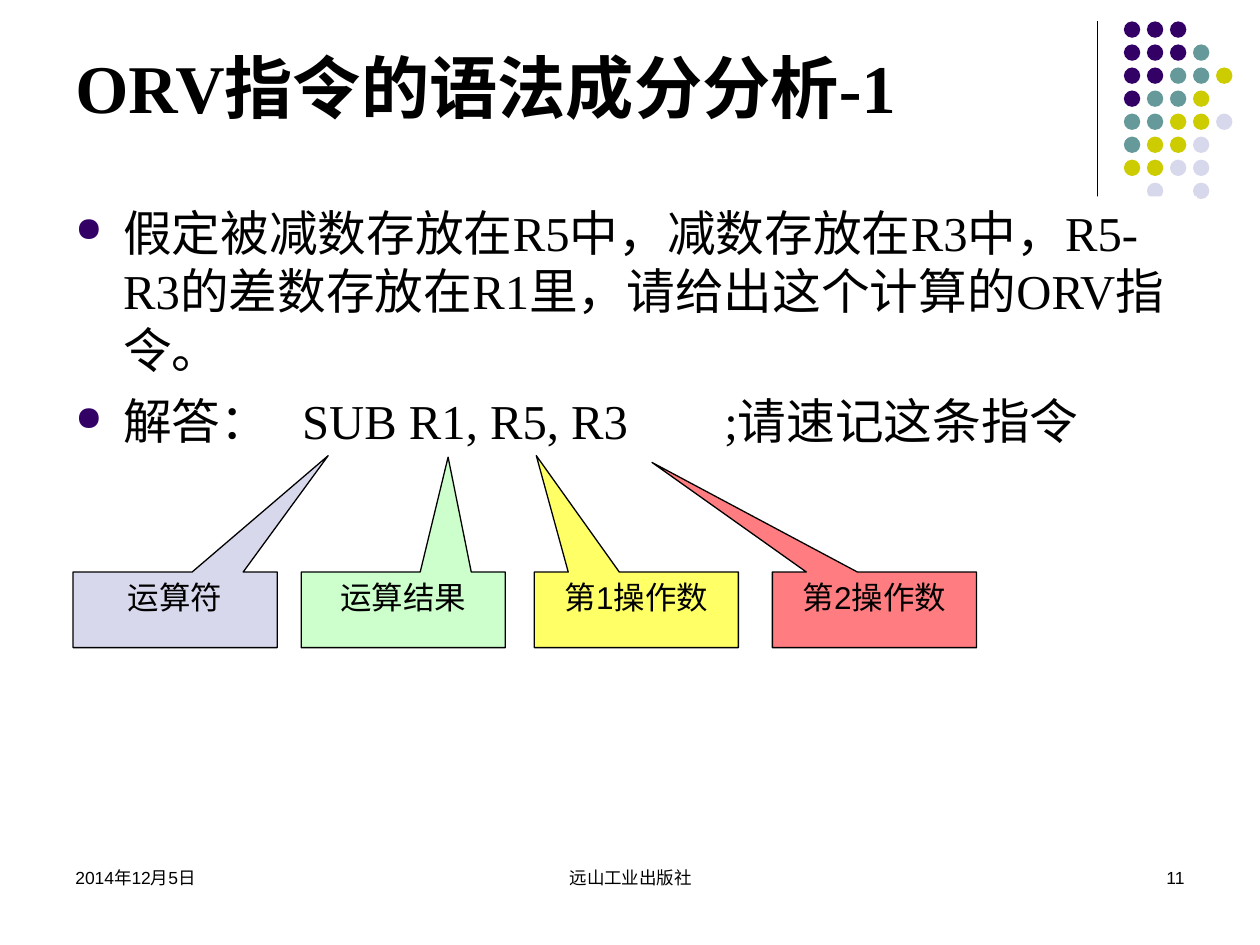
from lxml import etree
from pptx import Presentation
from pptx.dml.color import RGBColor
from pptx.enum.shapes import MSO_CONNECTOR, MSO_SHAPE
from pptx.enum.text import MSO_ANCHOR, PP_ALIGN
from pptx.oxml.ns import qn
from pptx.util import Inches, Pt

LEFT, CENTER, RIGHT = PP_ALIGN.LEFT, PP_ALIGN.CENTER, PP_ALIGN.RIGHT
TOP, BOTTOM = MSO_ANCHOR.TOP, MSO_ANCHOR.BOTTOM
RECTANGLE, ELLIPSE = MSO_SHAPE.RECTANGLE, MSO_SHAPE.OVAL
CALLOUT = MSO_SHAPE.RECTANGULAR_CALLOUT

COLORS = {
    "black": "000000", "white": "FFFFFF", "purple": "330066", "teal": "669999",
    "olive": "CCCC00", "lavender": "D8D8EC", "green": "CCFFCC",
    "yellow": "FFFF66", "red": "FF7C80",
}
FORMATS = {
    "title": {"name": "Times New Roman", "size": Pt(39), "bold": True},
    "body": {"name": "Times New Roman", "size": Pt(27.8)},
    "callout": {"name": "Arial", "size": Pt(18)},
    "footer": {"name": "Arial", "size": Pt(10)},
}

# Dot pattern: one letter per dot, a point for a gap
DOT_COLORS = {"p": "purple", "t": "teal", "o": "olive", "l": "lavender"}
DOT_ROWS = ["ppp", "pppt", "pptto", "ptto", "ttool", "tool", "ooll", ".l.l"]
DOT_PITCH = 1.28 / 7
DOT_SIZE = 0.13

BODY = [
    "假定被减数存放在R5中，减数存放在R3中，R5-R3的差数存放在R1里，请给出这个计算的ORV指令。",
    "解答：\tSUB R1, R5, R3\t;请速记这条指令",
]
BODY_INDENT = 0.38
BODY_TABS = [1.8, 5.15]

# Text, left, fill, pointer position relative to the box centre
CALLOUTS = [
    ("第1操作数", 4.24, "yellow", (-0.49, -2.04)),
    ("第2操作数", 6.13, "red", (-1.09, -1.95)),
    ("运算结果", 2.39, "green", (0.22, -2.02)),
    ("运算符", 0.58, "lavender", (0.75, -2.04)),
]
FOOTERS = [
    ("2014年12月5日", 0.5, 2.33, LEFT),
    ("远山工业出版社", 3.42, 3.17, CENTER),
    ("11", 7.17, 2.33, RIGHT),
]


def color(name):
    return RGBColor.from_string(COLORS[name])


def add_filled_shape(slide, kind, box, fill, outlined=False):
    shape = slide.shapes.add_shape(kind, *map(Inches, box))
    shape.shadow.inherit = False
    shape.fill.solid()
    shape.fill.fore_color.rgb = color(fill)
    if outlined:
        shape.line.color.rgb = color("black")
        shape.line.width = Pt(0.75)
    else:
        shape.line.fill.background()
    return shape


def style_paragraph(paragraph, style, alignment=LEFT):
    paragraph.alignment = alignment
    for attribute, value in FORMATS[style].items():
        setattr(paragraph.font, attribute, value)
    paragraph.font.color.rgb = color("black")


def write_text(shape, text, style, alignment=LEFT, anchor=TOP):
    frame = shape.text_frame
    frame.word_wrap = True
    frame.vertical_anchor = anchor
    frame.text = text
    style_paragraph(frame.paragraphs[0], style, alignment)


def add_text(slide, box, text, style, alignment=LEFT, anchor=TOP):
    shape = slide.shapes.add_textbox(*map(Inches, box))
    write_text(shape, text, style, alignment, anchor)


def add_bullet(paragraph):
    properties = paragraph._p.get_or_add_pPr()
    properties.set("marL", str(Inches(BODY_INDENT)))
    properties.set("indent", str(-Inches(BODY_INDENT)))
    bullet_color = etree.SubElement(properties, qn("a:buClr"))
    etree.SubElement(bullet_color, qn("a:srgbClr"), val=COLORS["purple"])
    etree.SubElement(properties, qn("a:buSzPct"), val="70000")
    etree.SubElement(properties, qn("a:buChar"), char="●")
    tabs = etree.SubElement(properties, qn("a:tabLst"))
    for position in BODY_TABS:
        etree.SubElement(tabs, qn("a:tab"), pos=str(Inches(position)), algn="l")


def add_body(slide):
    shape = add_filled_shape(slide, RECTANGLE, (0.5, 1.56, 9, 2.24), "white")
    frame = shape.text_frame
    frame.word_wrap = True
    frame.vertical_anchor = TOP
    frame.text = "\n".join(BODY)
    for index, paragraph in enumerate(frame.paragraphs):
        if index:
            paragraph.space_before = Pt(7.5)
        add_bullet(paragraph)
        style_paragraph(paragraph, "body")


def add_rule(slide):
    ends = map(Inches, (8.71, 0.17, 8.71, 1.83))
    rule = slide.shapes.add_connector(MSO_CONNECTOR.STRAIGHT, *ends)
    rule.line.color.rgb = color("black")
    rule.line.width = Pt(0.75)
    etree.SubElement(rule._element.spPr, qn("a:effectLst"))


def add_dots(slide):
    for row, letters in enumerate(DOT_ROWS):
        for column, letter in enumerate(letters):
            if letter in DOT_COLORS:
                box = (8.92 + column * DOT_PITCH, 0.17 + row * DOT_PITCH, DOT_SIZE, DOT_SIZE)
                add_filled_shape(slide, ELLIPSE, box, DOT_COLORS[letter])


def add_callout(slide, text, left, fill, pointer):
    shape = add_filled_shape(slide, CALLOUT, (left, 4.54, 1.62, 0.6), fill, outlined=True)
    for index, value in enumerate(pointer):
        shape.adjustments[index] = value
    write_text(shape, text, "callout", CENTER)


def main():
    presentation = Presentation()
    presentation.slide_width, presentation.slide_height = Inches(10), Inches(7.5)
    slide = presentation.slides.add_slide(presentation.slide_layouts[6])

    # Corner decoration
    add_rule(slide)
    add_dots(slide)

    # Title and body
    add_text(slide, (0.5, 0.23, 8.25, 0.83), "ORV指令的语法成分分析-1", "title", anchor=BOTTOM)
    add_body(slide)

    # Callouts naming the parts of the instruction
    for callout in CALLOUTS:
        add_callout(slide, *callout)

    # Footer
    for text, left, width, alignment in FOOTERS:
        add_text(slide, (left, 6.83, width, 0.5), text, "footer", alignment)

    presentation.save("out.pptx")


if __name__ == "__main__":
    main()
